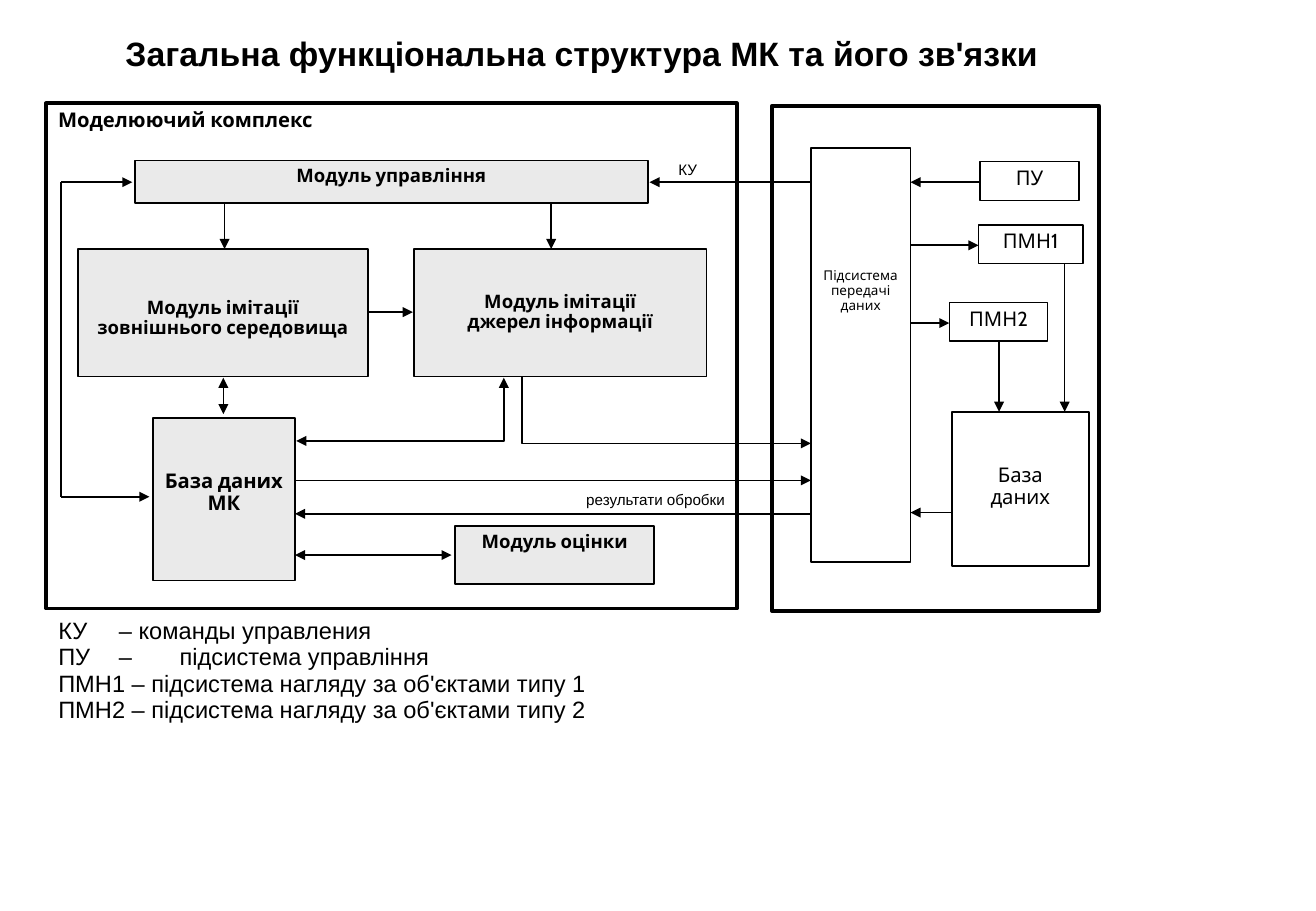
from pptx import Presentation
from pptx.dml.color import RGBColor
from pptx.enum.shapes import MSO_CONNECTOR, MSO_SHAPE
from pptx.enum.text import MSO_ANCHOR, MSO_AUTO_SIZE, PP_ALIGN
from pptx.oxml.ns import qn
from pptx.util import Inches, Pt
from lxml import etree

RECTANGLE = MSO_SHAPE.RECTANGLE
STRAIGHT = MSO_CONNECTOR.STRAIGHT
TOP = MSO_ANCHOR.TOP
NO_FIT = MSO_AUTO_SIZE.NONE
LEFT, CENTER, RIGHT = PP_ALIGN.LEFT, PP_ALIGN.CENTER, PP_ALIGN.RIGHT

BLACK = RGBColor(0x00, 0x00, 0x00)
WHITE = RGBColor(0xFF, 0xFF, 0xFF)
GREY = RGBColor(0xEA, 0xEA, 0xEA)

# The slide is a grid of 108.4 columns by 75 rows with square cells
COLUMNS, ROWS = 108.4, 75
WIDTH, HEIGHT = Inches(10.84), Inches(7.5)
CELL = HEIGHT / ROWS

TITLE_BOX = (3.8, 2.5, 88.3, 4.7)
COMPLEX_BOX = (3.8, 8.5, 56.9, 41.6)
TRANSFER_BOX = (63.6, 8.7, 26.9, 41.6)
LEGEND_BOX = (3.8, 50.4, 61.1, 12.6)


def cells(*counts):
    return [round(count * CELL) for count in counts]


def within(box, left, top, width, height):
    return box[0] + left, box[1] + top, width, height


def write(shape, lines, size, font="Cabin", bold=False, align=CENTER,
          insets=(1, 0.5, 1, 0.5)):
    """Insets are left, top, right and bottom, in grid cells."""
    frame = shape.text_frame
    frame.word_wrap = True
    frame.auto_size = NO_FIT
    frame.vertical_anchor = TOP
    (frame.margin_left, frame.margin_top,
     frame.margin_right, frame.margin_bottom) = cells(*insets)
    for index, line in enumerate(lines):
        paragraph = frame.add_paragraph() if index else frame.paragraphs[0]
        paragraph.alignment = align
        paragraph.line_spacing = 0.93
        paragraph.space_before = Pt(0)
        run = paragraph.add_run()
        run.text = line
        run.font.size = Pt(size)
        run.font.name = font
        run.font.bold = bold
        run.font.color.rgb = BLACK


def add_block(slide, box, fill=None, weight=1):
    block = slide.shapes.add_shape(RECTANGLE, *cells(*box))
    block.shadow.inherit = False
    if fill is None:
        block.fill.background()
    else:
        block.fill.solid()
        block.fill.fore_color.rgb = fill
    block.line.color.rgb = BLACK
    block.line.width = Pt(weight)
    return block


def add_link(slide, box, points, ends=("tailEnd",)):
    """A straight or bent line through points given relative to the box."""
    route = [cells(box[0] + x, box[1] + y) for x, y in points]
    if len(route) == 2:
        link = slide.shapes.add_connector(STRAIGHT, *route[0], *route[1])
    else:
        builder = slide.shapes.build_freeform(*route[0], scale=1.0)
        builder.add_line_segments(route[1:], close=False)
        link = builder.convert_to_shape()
        link.fill.background()
    link.line.color.rgb = BLACK
    link.line.width = Pt(1)
    properties = link.element.spPr
    outline = properties.find(qn("a:ln"))
    for end in ends:
        etree.SubElement(outline, qn("a:" + end), type="triangle")
    etree.SubElement(properties, qn("a:effectLst"))


def add_label(slide, box, text, align):
    label = slide.shapes.add_textbox(*cells(*box))
    write(label, [text], 9, "Arial", align=align, insets=(0.2, 0.1, 0.2, 0.1))


def place(placeholder, box):
    (placeholder.left, placeholder.top,
     placeholder.width, placeholder.height) = cells(*box)


def draw_title(slide, box):
    place(slide.shapes.title, box)
    write(slide.shapes.title, ["Загальна функціональна структура МК та його зв'язки"],
          20, "Arial", bold=True)


def draw_complex(slide, box):
    frame = add_block(slide, box, weight=2.25)
    write(frame, ["Моделюючий комплекс"], 12, bold=True, align=LEFT)

    # Modules: place, lines, text size, top inset
    modules = [
        ((7.3, 4.7, 42.3, 3.5), ["Модуль управління"], 11, 0.5),
        ((2.6, 12, 23.9, 10.5), ["Модуль імітації", "зовнішнього середовища"], 11, 4),
        ((30.3, 12, 24.1, 10.5), ["Модуль імітації", "джерел інформації"], 11, 3.5),
        ((33.7, 34.8, 16.4, 4.8), ["Модуль оцінки"], 11, 0.5),
        ((8.8, 25.9, 11.7, 13.4), ["База даних МК"], 12, 4.3),
    ]
    for place_in_frame, lines, size, top in modules:
        module = add_block(slide, within(box, *place_in_frame), GREY)
        write(module, lines, size, bold=True, insets=(0.9, top, 0.9, 0.1))

    # Control to the simulation modules, and environment to sources
    for points in ([(14.7, 8.2), (14.7, 12)], [(41.6, 8.2), (41.6, 12)],
                   [(26.5, 17.2), (30.2, 17.2)]):
        add_link(slide, box, points)

    # Two-way exchange with the database
    for points in ([(14.6, 22.6), (14.6, 25.6)],
                   [(37.7, 22.6), (37.7, 27.8), (20.6, 27.8)],
                   [(20.5, 37.2), (33.4, 37.2)]):
        add_link(slide, box, points, ("headEnd", "tailEnd"))

    # Loop between control and database along the left edge
    add_link(slide, box, [(1.25, 6.5), (1.25, 32.4)], ())
    add_link(slide, box, [(1.25, 6.5), (7.1, 6.5)])
    add_link(slide, box, [(1.25, 32.4), (8.5, 32.4)])


def draw_transfer(slide, box):
    add_block(slide, box, weight=2.25)

    # Subsystems: place, lines, text size, top inset
    subsystems = [
        ((3.2, 3.5, 8.2, 34.1), ["Підсистема передачі даних"], 8, 9.9),
        ((17.1, 4.6, 8.2, 3.2), ["ПУ"], 12, 0.5),
        ((17, 9.8, 8.6, 3.2), ["ПМН1"], 12, 0.5),
        ((14.6, 16.2, 8.1, 3.2), ["ПМН2"], 12, 0.5),
        ((14.8, 25.2, 11.3, 12.7), ["База", "даних"], 12, 4.3),
    ]
    for place_in_frame, lines, size, top in subsystems:
        subsystem = add_block(slide, within(box, *place_in_frame), WHITE)
        write(subsystem, lines, size, insets=(0.4, top, 0.4, 0.1))

    for points in ([(17.1, 6.3), (11.4, 6.3)], [(11.4, 11.5), (17, 11.5)],
                   [(11.4, 17.9), (14.6, 17.9)], [(18.7, 19.4), (18.7, 25.2)],
                   [(24.1, 13), (24.1, 25.2)], [(14.8, 33.5), (11.4, 33.5)]):
        add_link(slide, box, points)


def draw_exchange(slide, box):
    """Links from the complex, whose box is given, to the transfer subsystem."""
    subsystem_edge = 63
    for points in ([(subsystem_edge, 6.5), (49.7, 6.5)],
                   [(39.2, 22.5), (39.2, 28), (subsystem_edge, 28)],
                   [(20.5, 31.05), (subsystem_edge, 31.05)],
                   [(subsystem_edge, 33.8), (20.5, 33.8)]):
        add_link(slide, box, points)
    add_label(slide, within(box, 51, 4.7, 3.7, 2.8), "КУ", CENTER)
    add_label(slide, within(box, 39.1, 31.9, 17, 2.1), "результати обробки", RIGHT)


def draw_legend(slide, box):
    legend = slide.placeholders[1]
    place(legend, box)
    write(legend, ["КУ\t– команды управления",
                   "ПУ\t–\tпідсистема управління",
                   "ПМН1 – підсистема нагляду за об'єктами типу 1",
                   "ПМН2 – підсистема нагляду за об'єктами типу 2"],
          14, "Arial", align=LEFT)

    # No bullets; tab stops line up the dashes of the short names
    stops = [(4.6,), (4.3, 6.4), (), ()]
    for paragraph, positions in zip(legend.text_frame.paragraphs, stops):
        properties = paragraph._p.get_or_add_pPr()
        properties.set("marL", "0")
        properties.set("indent", "0")
        etree.SubElement(properties, qn("a:buNone"))
        if positions:
            tabs = etree.SubElement(properties, qn("a:tabLst"))
            for position in cells(*positions):
                etree.SubElement(tabs, qn("a:tab"), pos=str(position), algn="l")


def main():
    presentation = Presentation()
    presentation.slide_width, presentation.slide_height = WIDTH, HEIGHT
    slide = presentation.slides.add_slide(presentation.slide_layouts[1])
    draw_title(slide, TITLE_BOX)
    draw_complex(slide, COMPLEX_BOX)
    draw_transfer(slide, TRANSFER_BOX)
    draw_exchange(slide, COMPLEX_BOX)
    draw_legend(slide, LEGEND_BOX)
    presentation.save("out.pptx")


if __name__ == "__main__":
    main()
